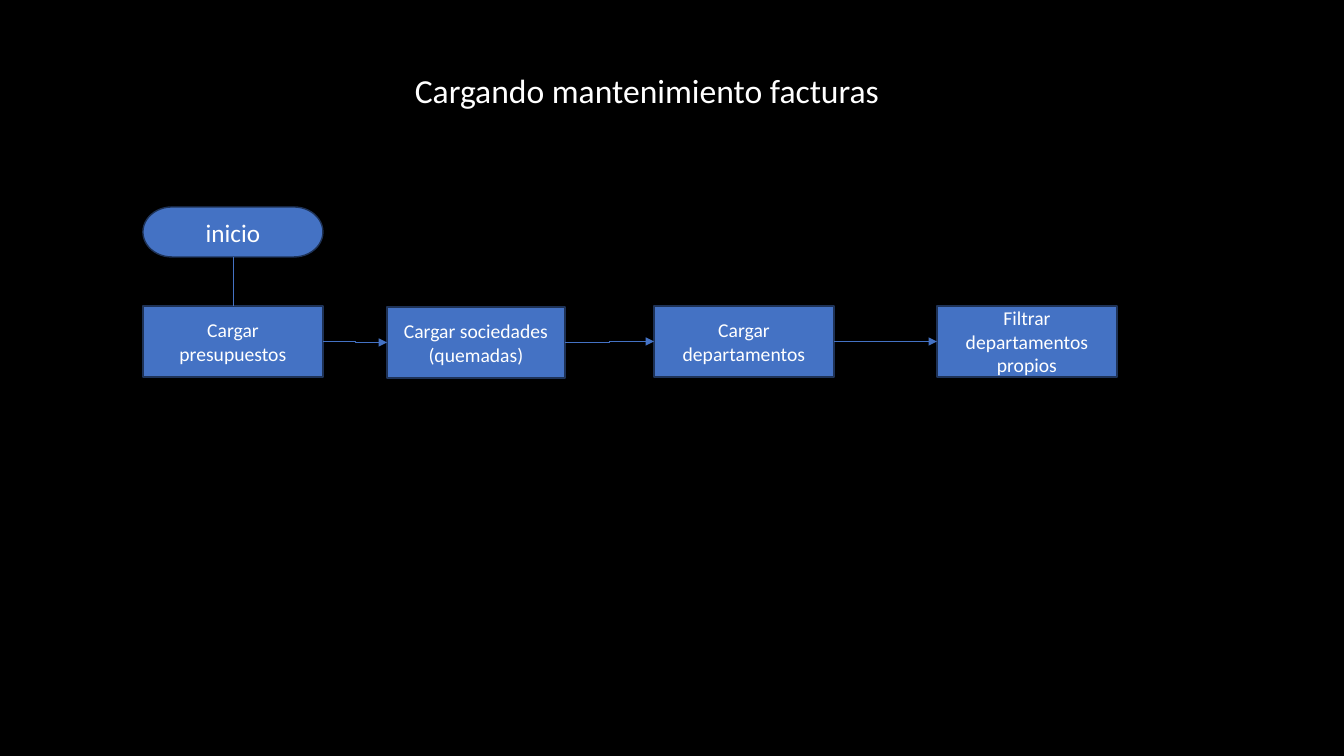
from pptx import Presentation
from pptx import util as u
from pptx.dml.color import RGBColor
from pptx.enum import shapes, text
from pptx.oxml.ns import qn
from lxml import etree

BLACK = RGBColor(0x00, 0x00, 0x00)
WHITE = RGBColor(0xFF, 0xFF, 0xFF)
BLUE = RGBColor(0x44, 0x72, 0xC4)
NAVY = RGBColor(0x1E, 0x32, 0x56)

EMU_PER_PX = 12192000 / 1344
TOP, BOTTOM, LEFT, RIGHT = 0, 2, 1, 3  # connection sites


def px(length):
    return u.Emu(round(length * EMU_PER_PX))


def write(frame, words, size, anchor=text.MSO_ANCHOR.MIDDLE, spacing=1.0):
    frame.word_wrap = True
    frame.auto_size = text.MSO_AUTO_SIZE.NONE
    frame.vertical_anchor = anchor
    para = frame.paragraphs[0]
    para.alignment = text.PP_ALIGN.CENTER
    para.line_spacing = spacing
    span = para.add_run()
    span.text = words
    span.font.name = "Calibri"
    span.font.size = u.Pt(size)
    span.font.color.rgb = WHITE


class FlowPage:
    def __init__(self, deck):
        self.page = deck.slides.add_slide(deck.slide_layouts[5])
        background = self.page.background.fill
        background.solid()
        background.fore_color.rgb = BLACK

    def title(self, words, left, top, width, height):
        box = self.page.shapes.title
        box.left, box.top, box.width, box.height = map(px, (left, top, width, height))
        write(box.text_frame, words, 24, anchor=text.MSO_ANCHOR.BOTTOM, spacing=0.9)

    def step(self, words, left, top, width, height,
             kind=shapes.MSO_SHAPE.FLOWCHART_PROCESS, size=14):
        box = self.page.shapes.add_shape(kind, *map(px, (left, top, width, height)))
        box.shadow.inherit = False
        box.fill.solid()
        box.fill.fore_color.rgb = BLUE
        box.line.color.rgb = NAVY
        box.line.width = u.Pt(1)
        write(box.text_frame, words, size)
        return box

    def link(self, start, start_site, end, end_site,
             kind=shapes.MSO_CONNECTOR.ELBOW, arrow=True):
        line = self.page.shapes.add_connector(kind, 0, 0, 0, 0)
        line.begin_connect(start, start_site)
        line.end_connect(end, end_site)
        line.line.color.rgb = BLUE
        line.line.width = u.Pt(0.5)
        if arrow:
            tail = etree.SubElement(line.line._get_or_add_ln(), qn("a:tailEnd"))
            tail.set("type", "triangle")
        etree.SubElement(line._element.spPr, qn("a:effectLst"))


def main():
    deck = Presentation()
    deck.slide_width, deck.slide_height = px(1344), px(756)
    flow = FlowPage(deck)

    # Title
    flow.title("Cargando mantenimiento facturas", 143, 23, 1008, 93)

    # Start and steps
    start = flow.step("inicio", 143, 207, 180, 50,
                      kind=shapes.MSO_SHAPE.FLOWCHART_TERMINATOR, size=18)
    steps = [
        flow.step(words, left, top, width, 71)
        for words, left, top, width in (
            ("Cargar presupuestos", 143, 306, 180),
            ("Cargar sociedades (quemadas)", 387, 307, 178),
            ("Cargar departamentos", 654, 306, 180),
            ("Filtrar departamentos propios", 937, 306, 180),
        )
    ]

    # Connectors
    flow.link(start, BOTTOM, steps[0], TOP,
              kind=shapes.MSO_CONNECTOR.STRAIGHT, arrow=False)
    for before, after in zip(steps, steps[1:]):
        flow.link(before, RIGHT, after, LEFT)

    deck.save("out.pptx")


if __name__ == "__main__":
    main()
